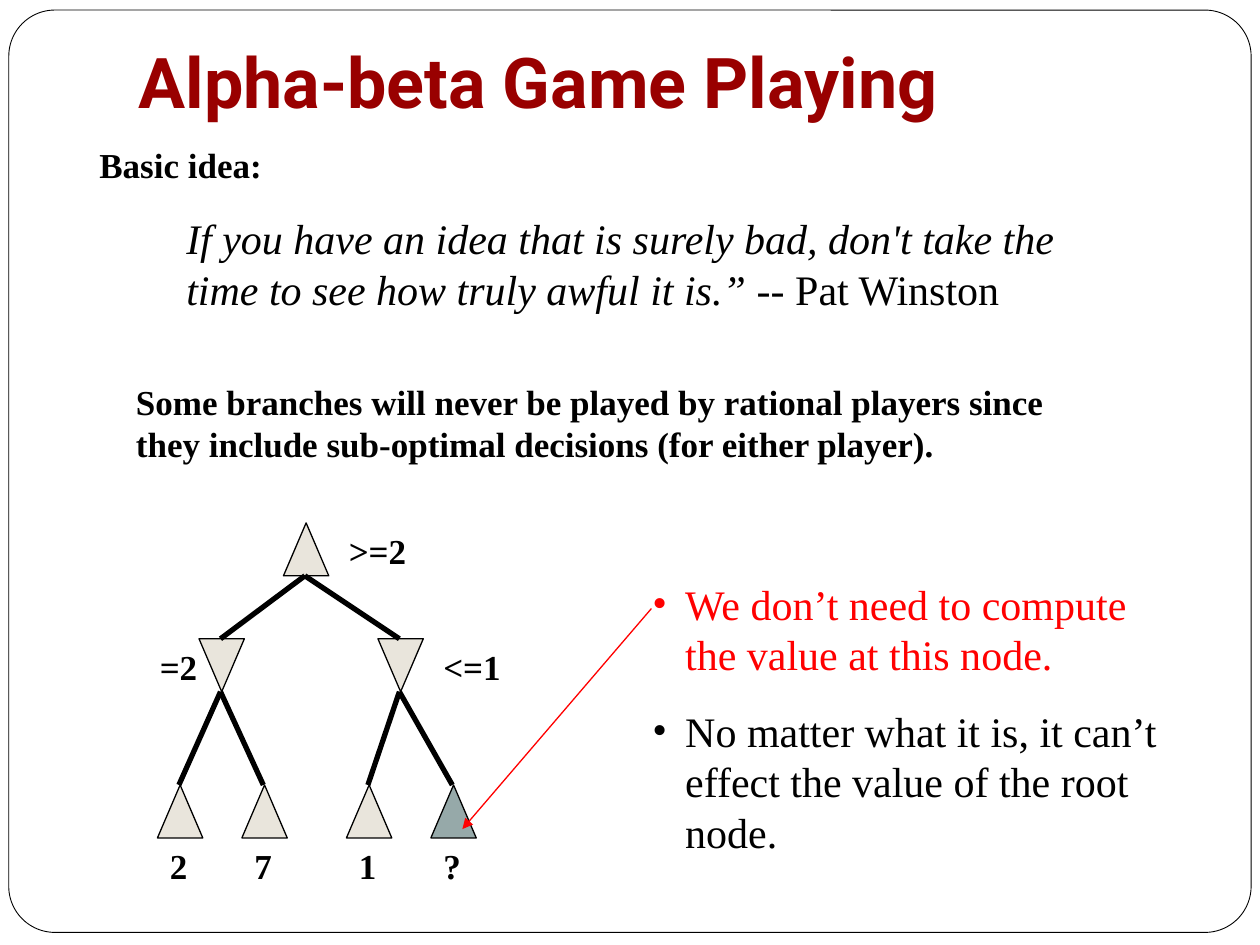
from dataclasses import dataclass
from typing import Optional

from lxml.etree import SubElement
from pptx import Presentation
from pptx.dml.color import RGBColor
from pptx.enum.shapes import MSO_CONNECTOR, MSO_SHAPE
from pptx.enum.text import MSO_ANCHOR, MSO_AUTO_SIZE, PP_ALIGN
from pptx.oxml.ns import qn
from pptx.util import Inches, Pt


@dataclass(frozen=True)
class Theme:
    head: str = "Roboto"
    body: str = "Times New Roman"
    title: int = 40
    quote: int = 24
    label: int = 20
    black: str = "000000"
    white: str = "FFFFFF"
    wine: str = "990000"
    red: str = "FF0000"
    sand: str = "E9E5DC"
    slate: str = "96A9A9"


@dataclass(frozen=True)
class Node:
    left: float
    level: int
    text: str
    tag: tuple  # left and top of the label, measured from the node
    width: float  # label width
    boss: Optional[int] = None  # index of the parent node
    fill: str = Theme.sand


@dataclass(frozen=True)
class Run:
    text: str
    style: dict


THEME = Theme()
WIDE, HIGH = 0.36, 0.42  # triangle size
MID = 0.17  # where edges meet a triangle
ROWS = (4.15, 5.07, 6.23)  # top of each tree level
BOLD = {"name": THEME.body, "size": Pt(THEME.label), "bold": True}
PLAIN = {"name": THEME.body, "size": Pt(THEME.quote)}
SLANT = {**PLAIN, "italic": True}
HEAD = {"name": THEME.head, "size": Pt(THEME.title), "bold": True}

UNDER = (0, HIGH)
NODES = [
    Node(2.25, 0, ">=2", (0.42, 0), 0.66),
    Node(1.58, 1, "=2", (-0.41, 0), 0.5, 0),
    Node(3, 1, "<=1", (0.42, 0), 0.66, 0),
    Node(1.25, 2, "2", UNDER, 0.34, 1),
    Node(1.92, 2, "7", UNDER, 0.34, 1),
    Node(2.75, 2, "1", UNDER, 0.34, 2),
    Node(3.42, 2, "?", UNDER, 0.34, 2, THEME.slate),
]


def box_of(*sides: float) -> list:
    return [Inches(side) for side in sides]


def add_run(para, run: Run, tint: str = THEME.black) -> None:
    part = para.add_run()
    part.text = run.text
    for key, value in run.style.items():
        setattr(part.font, key, value)
    part.font.color.rgb = RGBColor.from_string(tint)


def add_text(slide, place: tuple, lines: list, wrap: bool = True, grow: bool = True):
    """Add a text box; each line is a list of runs."""
    frame = slide.shapes.add_textbox(*box_of(*place)).text_frame
    frame.word_wrap = wrap
    frame.auto_size = MSO_AUTO_SIZE.SHAPE_TO_FIT_TEXT if grow else MSO_AUTO_SIZE.NONE
    for index, runs in enumerate(lines):
        para = frame.paragraphs[0] if index == 0 else frame.add_paragraph()
        for run in runs:
            add_run(para, run)
    return frame


def add_shape(slide, kind, place: tuple, fill: str, weight: float):
    shape = slide.shapes.add_shape(kind, *box_of(*place))
    shape.shadow.inherit = False
    shape.fill.solid()
    shape.fill.fore_color.rgb = RGBColor.from_string(fill)
    shape.line.color.rgb = RGBColor.from_string(THEME.black)
    shape.line.width = Pt(weight)
    return shape


def add_line(slide, ends: tuple, tint: str, weight: float, arrow: bool = False) -> None:
    line = slide.shapes.add_connector(MSO_CONNECTOR.STRAIGHT, *box_of(*ends))
    line.line.color.rgb = RGBColor.from_string(tint)
    line.line.width = Pt(weight)
    props = line.element.spPr
    if arrow:
        SubElement(props.find(qn("a:ln")), qn("a:tailEnd"), type="triangle")
    SubElement(props, qn("a:effectLst"))


def add_point(para, text: str, tint: str) -> None:
    props = para._p.get_or_add_pPr()
    props.set("marL", str(Inches(0.26)))
    props.set("indent", str(-Inches(0.26)))
    shade = SubElement(props, qn("a:buClr"))
    SubElement(shade, qn("a:srgbClr"), val=tint)
    SubElement(props, qn("a:buFont"), typeface=THEME.body)
    SubElement(props, qn("a:buChar"), char="•")
    add_run(para, Run(text, PLAIN), tint)


def add_title(slide, text: str) -> None:
    title = slide.shapes.title
    title.left, title.top, title.width, title.height = box_of(1, 0.3, 8.5, 0.77)
    form = {
        "vertical_anchor": MSO_ANCHOR.BOTTOM,
        "auto_size": MSO_AUTO_SIZE.NONE,
        "word_wrap": True,
        "margin_bottom": Inches(0.1),
    }
    for key, value in form.items():
        setattr(title.text_frame, key, value)
    para = title.text_frame.paragraphs[0]
    para.alignment = PP_ALIGN.LEFT
    add_run(para, Run(text, HEAD), THEME.wine)


def add_tree(slide) -> None:
    for node in NODES:
        place = (node.left, ROWS[node.level], WIDE, HIGH)
        shape = add_shape(slide, MSO_SHAPE.ISOSCELES_TRIANGLE, place, node.fill, 0.75)
        if node.level == 1:  # the other player's nodes point down
            shape.element.spPr.find(qn("a:xfrm")).set("flipV", "1")
    for node in NODES:
        top = ROWS[node.level]
        if node.boss is not None:
            boss = NODES[node.boss]
            ends = (node.left + MID, top, boss.left + MID, ROWS[boss.level] + HIGH)
            add_line(slide, ends, THEME.black, 3)
        shift, drop = node.tag
        place = (node.left + shift, top + drop, node.width, 0.44)
        add_text(slide, place, [[Run(node.text, BOLD)]], wrap=False)


def main() -> None:
    deck = Presentation()
    deck.slide_width, deck.slide_height = box_of(10, 7.5)
    slide = deck.slides.add_slide(deck.slide_layouts[5])

    # Frame behind the title
    frame = add_shape(slide, MSO_SHAPE.ROUNDED_RECTANGLE,
                      (0.07, 0.08, 9.86, 7.32), THEME.white, 0.5)
    frame.adjustments[0] = 0.05
    slide.shapes.title.element.addprevious(frame.element)
    add_title(slide, "Alpha-beta Game Playing")

    # Idea and quote
    add_text(slide, (0.69, 1.09, 9, 0.63), [[Run("Basic idea:", BOLD)]], grow=False)
    quote = ("If you have an idea that is surely bad, don't take the "
             "time to see how truly awful it is.”")
    add_text(slide, (1.38, 1.64, 7.32, 0.9),
             [[Run(quote, SLANT), Run(" -- Pat Winston", PLAIN)]])
    add_text(slide, (0.98, 2.97, 7.41, 0.77), [
        [Run("Some branches will never be played by rational players since", BOLD)],
        [Run("they include sub-optimal decisions (for either player).", BOLD)],
    ], wrap=False)

    # Game tree and the arrow to its open leaf
    add_tree(slide)
    add_line(slide, (5.17, 4.83, 3.67, 6.58), THEME.red, 0.75, arrow=True)

    # Remarks
    notes = add_text(slide, (5.08, 4.54, 4.42, 2.31), [[], []])
    first, second = notes.paragraphs
    second.space_before = Pt(15)
    add_point(first, "We don’t need to compute the value at this node.", THEME.red)
    add_point(second, "No matter what it is, it can’t effect the value of the root node.",
              THEME.black)

    deck.save("out.pptx")


if __name__ == "__main__":
    main()
